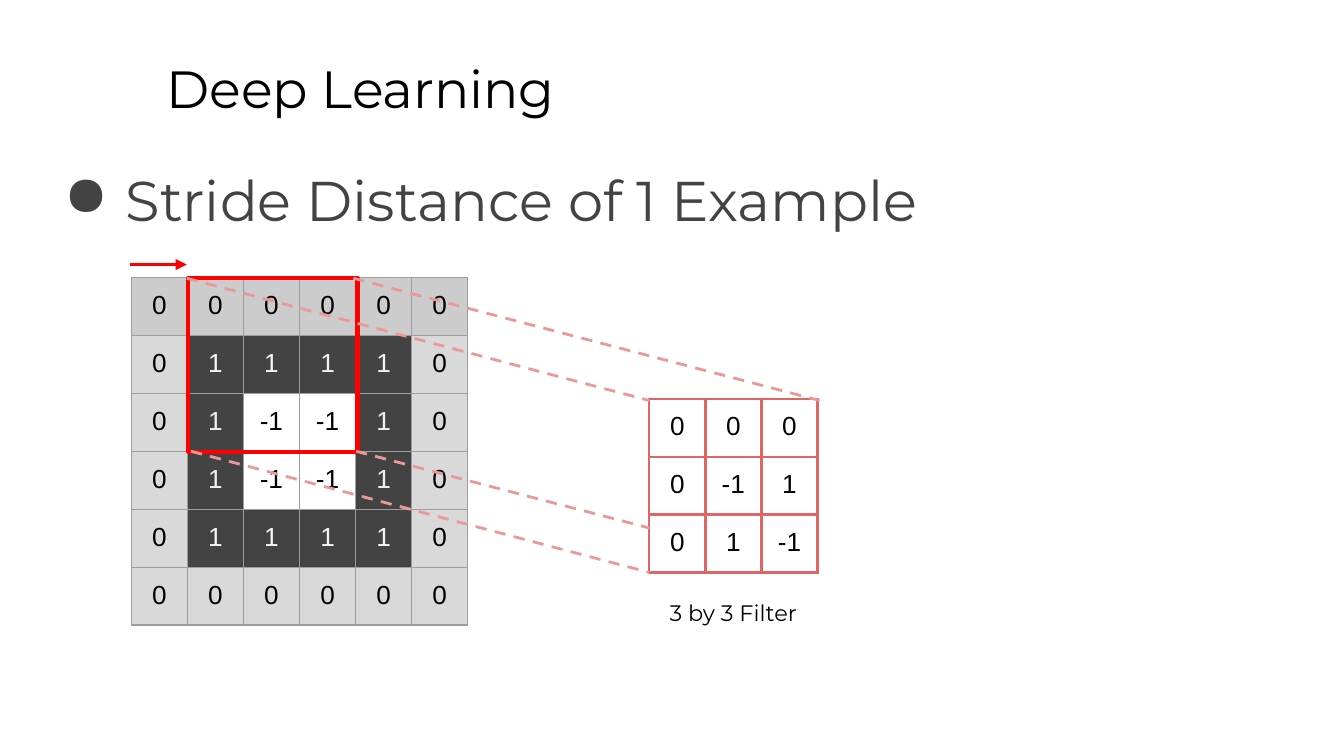
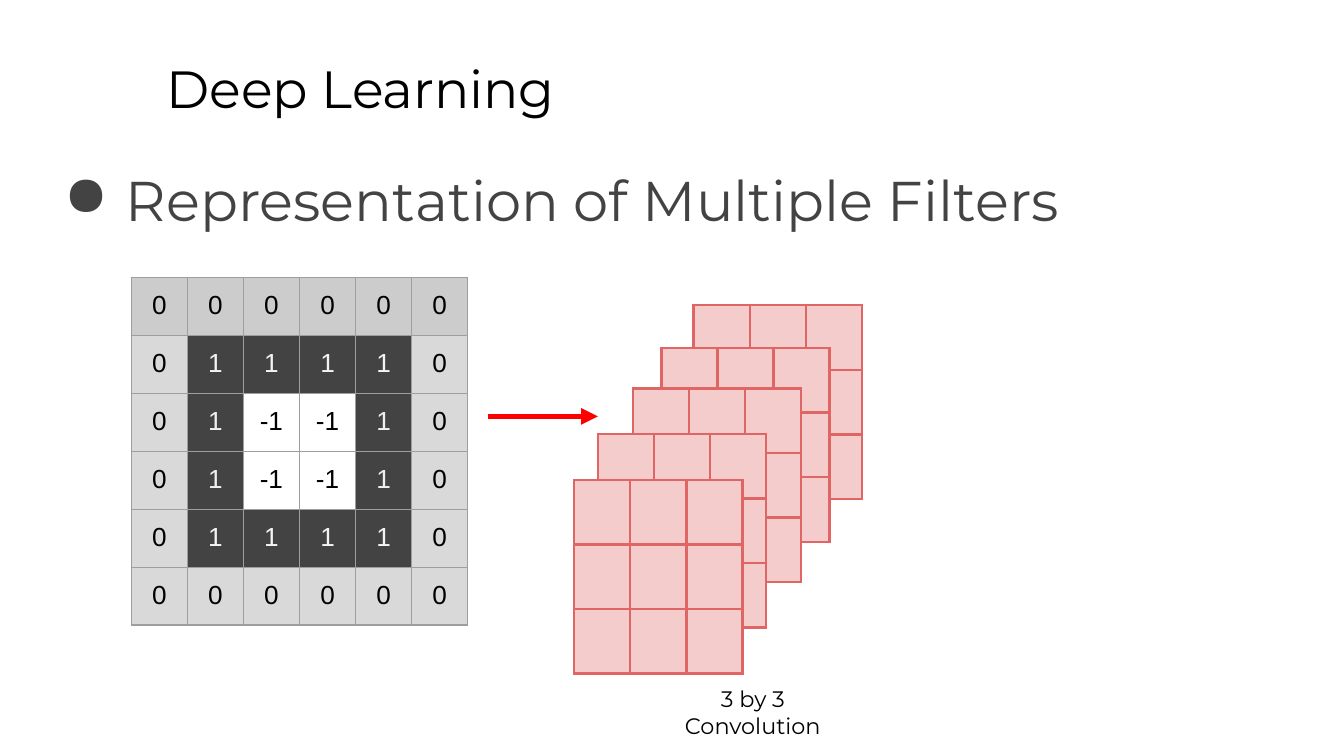
from lxml import etree
from pptx import Presentation
from pptx import util as u
from pptx.dml.color import RGBColor
from pptx.enum import dml, shapes, text
from pptx.oxml.ns import qn

Cm, Pt = u.Cm, u.Pt
BLACK = RGBColor(0x00, 0x00, 0x00)
DARK = RGBColor(0x43, 0x43, 0x43)
TOP_GREY = RGBColor(0xCC, 0xCC, 0xCC)
GREY = RGBColor(0xD9, 0xD9, 0xD9)
PALE = RGBColor(0xF3, 0xF3, 0xF3)
PALE_INNER = RGBColor(0xEF, 0xEF, 0xEF)
RULE = RGBColor(0x9E, 0x9E, 0x9E)
RED = RGBColor(0xFF, 0x00, 0x00)
ROSE = RGBColor(0xE0, 0x66, 0x66)
PINK = RGBColor(0xEA, 0x99, 0x99)
BLUSH = RGBColor(0xF4, 0xCC, 0xCC)
CELL = 1.06


def add_grid(s, x, y, row_h, values, fills, inks, border, width):
    n = len(values)
    frame = s.shapes.add_table(n, n, Cm(x), Cm(y), Cm(n * CELL), Cm(n * row_h))
    table = frame.table
    table.first_row = table.horz_banding = False
    for i in range(n):
        table.columns[i].width = Cm(CELL)
        table.rows[i].height = Cm(row_h)
        for j in range(n):
            cell = table.cell(i, j)
            margin = Cm(0.25 if values[i][j] else 0.15)
            for side in ("left", "top", "right", "bottom"):
                setattr(cell, f"margin_{side}", margin)
            if values[i][j]:
                p = cell.text_frame.paragraphs[0]
                p.alignment = text.PP_ALIGN.CENTER
                r = p.add_run()
                r.text = values[i][j]
                r.font.name, r.font.size = "Arial", Pt(14)
                r.font.color.rgb = inks[i][j]
            tcPr = cell._tc.get_or_add_tcPr()
            for edge in ("a:lnL", "a:lnR", "a:lnT", "a:lnB"):
                ln = etree.SubElement(tcPr, qn(edge), w=str(Pt(width)))
                fill = etree.SubElement(ln, qn("a:solidFill"))
                etree.SubElement(fill, qn("a:srgbClr"), val=str(border))
            if fills[i][j] is None:
                cell.fill.background()
            else:
                cell.fill.solid()
                cell.fill.fore_color.rgb = fills[i][j]


def add_line(s, x1, y1, x2, y2, color, width, arrow=False):
    c = s.shapes.add_connector(
        shapes.MSO_CONNECTOR.STRAIGHT, Cm(x1), Cm(y1), Cm(x2), Cm(y2))
    c.line.color.rgb = color
    c.line.width = Pt(width)
    spPr = c._element.spPr
    if arrow:
        etree.SubElement(spPr.find(qn("a:ln")), qn("a:tailEnd"), type="triangle")
    else:
        c.line.dash_style = dml.MSO_LINE.DASH
    etree.SubElement(spPr, qn("a:effectLst"))


prs = Presentation()
prs.slide_width, prs.slide_height = Cm(25.4), Cm(14.29)

image = [row.split() for row in (
    "0 0 0 0 0 0",
    "0 1 1 1 1 0",
    "0 1 -1 -1 1 0",
    "0 1 -1 -1 1 0",
    "0 1 1 1 1 0",
    "0 0 0 0 0 0",
)]
value_fill = {"0": GREY, "1": DARK, "-1": None}
image_fills = [[value_fill[v] for v in row] for row in image]
image_fills[0] = [TOP_GREY] * 6
image_inks = [
    [BLACK if v != "1" else PALE_INNER if i in (2, 3) else PALE for v in row]
    for i, row in enumerate(image)
]

slides = []
for heading, caption, caption_x, caption_y in (
    ("Stride Distance of 1 Example", "3 by 3 Filter", 12.03, 11.07),
    ("Representation of Multiple Filters", "3 by 3 Convolution", 12.4, 12.7),
):
    s = prs.slides.add_slide(prs.slide_layouts[6])
    slides.append(s)
    for words, box, size, color, style in (
        ("Deep Learning", (2.9, 0.81, 21.64, 1.6), 28, BLACK, {}),
        (heading, (0.86, 2.69, 23.67, 1.73), 30, DARK, {"line_spacing": 1.15}),
        (caption, (caption_x, caption_y, 3.66, 1.09), 12, BLACK,
         {"alignment": text.PP_ALIGN.CENTER}),
    ):
        sp = s.shapes.add_textbox(*map(Cm, box))
        tf = sp.text_frame
        tf.word_wrap = True
        for side in ("left", "top", "right", "bottom"):
            setattr(tf, f"margin_{side}", Cm(0.25))
        p = tf.paragraphs[0]
        for name, value in style.items():
            setattr(p, name, value)
        r = p.add_run()
        r.text = words
        for name, value in {"name": "Montserrat", "size": Pt(size)}.items():
            setattr(r.font, name, value)
        r.font.color.rgb = color
        if words == heading:
            pPr = p._p.get_or_add_pPr()
            pPr.set("marL", str(Cm(1.27)))
            pPr.set("indent", str(Cm(-1.17)))
            bullet_color = etree.SubElement(pPr, qn("a:buClr"))
            etree.SubElement(bullet_color, qn("a:srgbClr"), val=str(DARK))
            etree.SubElement(pPr, qn("a:buChar"), char="●")
    add_grid(s, 2.48, 5.25, CELL, image, image_fills, image_inks, RULE, 0.75)

stride, multiple = slides

window = stride.shapes.add_shape(
    shapes.MSO_SHAPE.RECTANGLE, Cm(3.56), Cm(5.26), Cm(3.2), Cm(3.28))
window.shadow.inherit = False
window.fill.background()
window.line.color.rgb = RED
window.line.width = Pt(2.25)

weights = [row.split() for row in ("0 0 0", "0 -1 1", "0 1 -1")]
add_grid(stride, 12.27, 7.54, CELL, weights,
         [[None] * 3] * 3, [[BLACK] * 3] * 3, ROSE, 1.5)
for ends in (
    (6.68, 5.26, 15.49, 7.57),
    (3.53, 5.26, 12.27, 7.57),
    (3.61, 8.53, 12.27, 10.82),
    (6.73, 8.53, 12.27, 9.98),
):
    add_line(stride, *ends, PINK, 1.5)
add_line(stride, 2.46, 5.0, 3.53, 5.0, RED, 1.5, arrow=True)

add_line(multiple, 9.22, 7.87, 11.3, 7.87, RED, 3, arrow=True)
for x, y in ((13.11, 5.77), (12.5, 6.58), (11.96, 7.34), (11.3, 8.2), (10.85, 9.07)):
    add_grid(multiple, x, y, 1.22, [[""] * 3] * 3,
             [[BLUSH] * 3] * 3, None, ROSE, 1.5)

prs.save("out.pptx")
